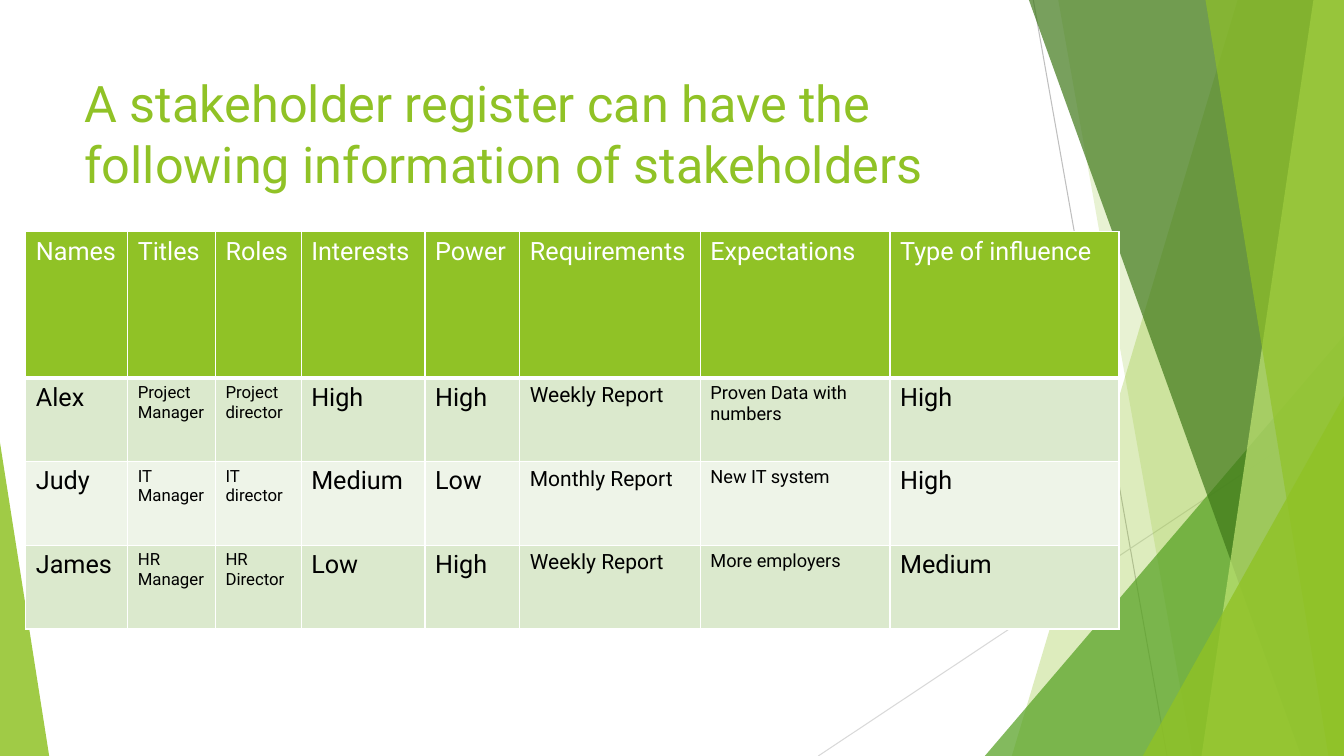
from lxml.etree import SubElement
from pptx import Presentation
from pptx.dml.color import RGBColor
from pptx.enum.shapes import MSO_CONNECTOR, MSO_SHAPE
from pptx.enum.text import MSO_ANCHOR
from pptx.oxml.ns import qn
from pptx.util import Cm, Pt

FONT = "Roboto"
WHITE = RGBColor(0xFF, 0xFF, 0xFF)
BLACK = RGBColor(0x00, 0x00, 0x00)
GREEN = RGBColor(0x90, 0xC2, 0x26)
MID_GREEN = RGBColor(0x54, 0xA0, 0x21)
DARK_GREEN = RGBColor(0x3F, 0x78, 0x19)
LIME = RGBColor(0xC0, 0xE4, 0x74)
BAND_DARK = RGBColor(0xDB, 0xE9, 0xCD)
BAND_LIGHT = RGBColor(0xEE, 0xF4, 0xE8)
GREY = RGBColor(0xBF, 0xBF, 0xBF)
LIGHT_GREY = RGBColor(0xD9, 0xD9, 0xD9)

SLIDE_WIDTH, SLIDE_HEIGHT = 33.87, 19.05

TITLE = "A stakeholder register can have the following information of stakeholders"
REGISTER = [
    ["Names", "Titles", "Roles", "Interests", "Power", "Requirements",
     "Expectations", "Type of influence"],
    ["Alex", "Project Manager", "Project director", "High", "High",
     "Weekly Report", "Proven Data with numbers", "High"],
    ["Judy", "IT Manager", "IT director", "Medium", "Low",
     "Monthly Report", "New IT system", "High"],
    ["James", "HR Manager", "HR Director", "Low", "High",
     "Weekly Report", "More employers", "Medium"],
]
COLUMN_WIDTHS = [2.57, 2.21, 2.16, 3.12, 2.39, 4.55, 4.78, 5.77]
ROW_HEIGHTS = [3.68, 2.11, 2.11, 2.11]
HEADER_SIZE = 18
BODY_SIZES = [18, 12, 12, 18, 18, 15, 13, 18]


def add_line(slide, start, end, color):
    line = slide.shapes.add_connector(
        MSO_CONNECTOR.STRAIGHT, *(Cm(value) for value in (*start, *end)))
    line.line.color.rgb = color
    line.line.width = Pt(0.75)
    SubElement(line._element.spPr, qn("a:effectLst"))


def paint(shape, color, opacity):
    """Give a shape a see-through fill, with opacity in percent."""
    shape.shadow.inherit = False
    shape.line.fill.background()
    shape.fill.solid()
    shape.fill.fore_color.rgb = color
    color_element = shape._element.spPr.find(f"{qn('a:solidFill')}/{qn('a:srgbClr')}")
    SubElement(color_element, qn("a:alpha"), val=str(opacity * 1000))


def add_ribbon(slide, top_x, bottom_x, color, opacity):
    """Fill from a slanted left edge to the right side of the slide."""
    builder = slide.shapes.build_freeform(Cm(top_x), 0)
    corners = [(SLIDE_WIDTH, 0), (SLIDE_WIDTH, SLIDE_HEIGHT), (bottom_x, SLIDE_HEIGHT)]
    builder.add_line_segments([(Cm(x), Cm(y)) for x, y in corners])
    paint(builder.convert_to_shape(), color, opacity)


def add_corner(slide, left, top, width, apex, color, opacity):
    """Stand a triangle on the bottom edge; apex runs from 0 (left) to 1 (right)."""
    triangle = slide.shapes.add_shape(
        MSO_SHAPE.ISOSCELES_TRIANGLE,
        Cm(left), Cm(top), Cm(width), Cm(SLIDE_HEIGHT - top))
    triangle.adjustments[0] = apex
    paint(triangle, color, opacity)


def add_decoration(slide):
    add_line(slide, (26.04, 0), (29.41, SLIDE_HEIGHT), GREY)
    add_line(slide, (SLIDE_WIDTH, 10.24), (20.62, SLIDE_HEIGHT), LIGHT_GREY)
    add_ribbon(slide, 31.19, 25.5, GREEN, 30)
    add_ribbon(slide, 26.67, 30.05, GREEN, 20)
    add_corner(slide, 24.82, 8.46, 9.05, 1, MID_GREEN, 72)
    add_ribbon(slide, 25.93, 32.79, DARK_GREEN, 70)
    add_ribbon(slide, 33.1, 30.28, LIME, 70)
    add_ribbon(slide, 30.38, 33.48, GREEN, 65)
    add_corner(slide, 28.8, 9.98, 5.07, 1, GREEN, 80)
    add_corner(slide, 0, 11.15, 1.24, 0, GREEN, 85)


def write(text_frame, text, size, color):
    run = text_frame.paragraphs[0].add_run()
    run.text = text
    run.font.name = FONT
    run.font.size = Pt(size)
    run.font.bold = False
    run.font.color.rgb = color


def add_title(slide):
    box = slide.shapes.add_textbox(Cm(1.88), Cm(1.7), Cm(23.88), Cm(3.66))
    box.text_frame.word_wrap = True
    box.text_frame.vertical_anchor = MSO_ANCHOR.TOP
    write(box.text_frame, TITLE, 36, GREEN)


def set_borders(cell, top, bottom):
    """Draw white cell borders; top and bottom are widths in points."""
    properties = cell._tc.get_or_add_tcPr()
    for side, width in (("L", 1), ("R", 1), ("T", top), ("B", bottom)):
        border = SubElement(properties, qn(f"a:ln{side}"), w=str(Pt(width)))
        fill = SubElement(border, qn("a:solidFill"))
        SubElement(fill, qn("a:srgbClr"), val=str(WHITE))


def add_register(slide):
    frame = slide.shapes.add_table(
        len(REGISTER), len(COLUMN_WIDTHS), Cm(0.65), Cm(5.84),
        Cm(sum(COLUMN_WIDTHS)), Cm(sum(ROW_HEIGHTS)))
    table = frame.table
    table.horz_banding = False
    for column, width in zip(table.columns, COLUMN_WIDTHS):
        column.width = Cm(width)
    for row, height in zip(table.rows, ROW_HEIGHTS):
        row.height = Cm(height)

    for row_index, texts in enumerate(REGISTER):
        is_header = row_index == 0
        band = BAND_DARK if row_index % 2 else BAND_LIGHT
        for column_index, text in enumerate(texts):
            cell = table.cell(row_index, column_index)
            set_borders(cell, 3 if row_index == 1 else 1, 3 if is_header else 1)
            cell.fill.solid()
            cell.fill.fore_color.rgb = GREEN if is_header else band
            write(cell.text_frame, text,
                  HEADER_SIZE if is_header else BODY_SIZES[column_index],
                  WHITE if is_header else BLACK)


def main():
    presentation = Presentation()
    presentation.slide_width = Cm(SLIDE_WIDTH)
    presentation.slide_height = Cm(SLIDE_HEIGHT)
    slide = presentation.slides.add_slide(presentation.slide_layouts[6])
    add_decoration(slide)
    add_title(slide)
    add_register(slide)
    presentation.save("out.pptx")


if __name__ == "__main__":
    main()
